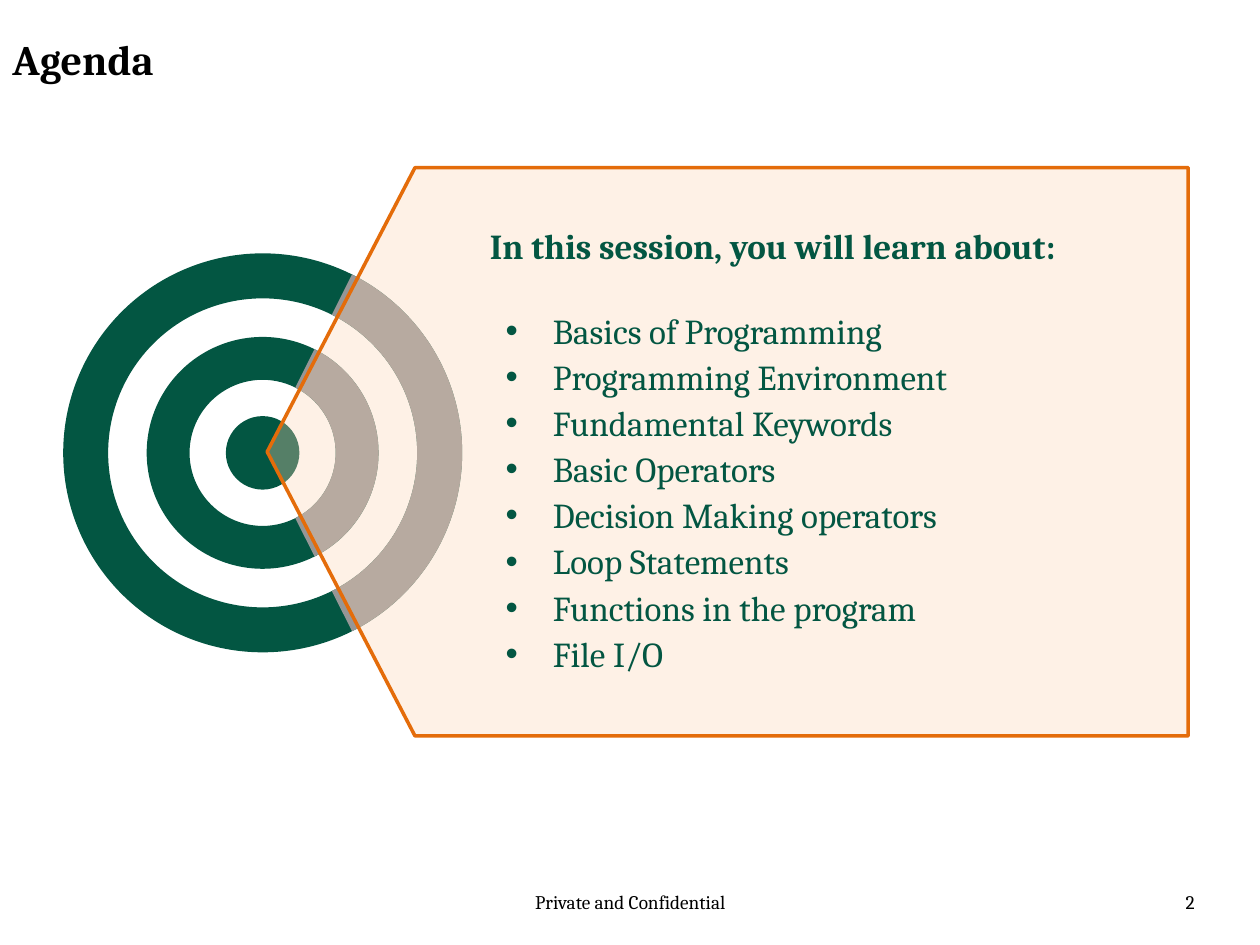
"""Build the agenda slide: a target behind a translucent panel listing the session topics."""
from dataclasses import dataclass

import lxml.etree
import pptx
import pptx.dml.color
import pptx.enum.shapes
import pptx.enum.text
import pptx.oxml.ns
import pptx.util

Pt = pptx.util.Pt
Shape = pptx.enum.shapes.MSO_SHAPE
Align = pptx.enum.text.PP_ALIGN
Anchor = pptx.enum.text.MSO_ANCHOR
qn = pptx.oxml.ns.qn

FONT = "Cambria"
GREEN, GREY, ORANGE, PEACH, BLACK = "035642", "969696", "E46C0A", "FCD5B5", "000000"
CENTER_X, CENTER_Y = 150.1, 258.8
HALF_SWEEP = 63.4
ANGLE_UNIT = 0.6
TOPICS = (
    "Basics of Programming",
    "Programming Environment",
    "Fundamental Keywords",
    "Basic Operators",
    "Decision Making operators",
    "Loop Statements",
    "Functions in the program",
    "File I/O",
)


@dataclass(frozen=True)
class Ring:
    diameter: float
    thickness: float


@dataclass(frozen=True)
class Label:
    text: str
    left: float
    top: float
    width: float
    height: float
    size: float
    align: Align
    bold: bool = False


RINGS = (Ring(132.5, 24.5), Ring(228, 25.7))
LABELS = (
    Label("Private and Confidential", 246.2, 505.4, 228.2, 28.8, 11, Align.CENTER),
    Label("2", 522, 505.4, 167.8, 28.8, 11, Align.RIGHT),
    Label("Agenda", 0, 15.8, 546.5, 44.6, 24, Align.LEFT, True),
)


def color(hex_code: str) -> pptx.dml.color.RGBColor:
    return pptx.dml.color.RGBColor.from_string(hex_code)


def add_run(paragraph, text: str, size: float, hex_code: str, bold: bool = False) -> None:
    run = paragraph.add_run()
    run.text = text
    run.font.name = FONT
    run.font.size = Pt(size)
    run.font.bold = bold
    run.font.color.rgb = color(hex_code)


def add_label(shapes, label: Label) -> None:
    box = shapes.add_textbox(Pt(label.left), Pt(label.top), Pt(label.width), Pt(label.height))
    box.text_frame.word_wrap = True
    paragraph = box.text_frame.paragraphs[0]
    paragraph.alignment = label.align
    add_run(paragraph, label.text, label.size, BLACK, label.bold)


def add_round(shapes, preset: Shape, diameter: float, hex_code: str, adjustments: tuple = ()) -> None:
    left, top = CENTER_X - diameter / 2, CENTER_Y - diameter / 2
    disc = shapes.add_shape(preset, Pt(left), Pt(top), Pt(diameter), Pt(diameter))
    disc.shadow.inherit = False
    disc.fill.solid()
    disc.fill.fore_color.rgb = color(hex_code)
    disc.line.fill.background()
    for index, value in enumerate(adjustments):
        disc.adjustments[index] = value


def add_target(shapes) -> None:
    target = shapes.add_group_shape().shapes
    add_round(target, Shape.OVAL, 42, GREEN)
    for ring in RINGS:
        add_round(target, Shape.DONUT, ring.diameter, GREEN, (ring.thickness / ring.diameter,))
    for ring in RINGS:
        sweep = ((360 - HALF_SWEEP) * ANGLE_UNIT, HALF_SWEEP * ANGLE_UNIT)
        add_round(target, Shape.BLOCK_ARC, ring.diameter, GREY, (*sweep, ring.thickness / ring.diameter))


def add_topic(frame, topic: str) -> None:
    paragraph = frame.add_paragraph()
    paragraph.alignment = Align.LEFT
    paragraph.line_spacing = 1.1
    properties = paragraph._p.get_or_add_pPr()
    properties.set("marL", str(Pt(36)))
    properties.set("indent", str(Pt(-27)))
    lxml.etree.SubElement(properties, qn("a:buFont")).set("typeface", "Arial")
    lxml.etree.SubElement(properties, qn("a:buChar")).set("char", "•")
    add_run(paragraph, topic, 20, GREEN)


def add_panel(shapes) -> None:
    panel = shapes.add_shape(Shape.PENTAGON, Pt(152.7), Pt(95.8), Pt(526.3), Pt(324.7))
    panel.shadow.inherit = False
    panel.adjustments[0] = 0.26
    panel._element.spPr.find(qn("a:xfrm")).set("flipH", "1")
    panel.fill.solid()
    panel.fill.fore_color.rgb = color(PEACH)
    tint = panel._element.spPr.find(qn("a:solidFill"))[0]
    lxml.etree.SubElement(tint, qn("a:alpha")).set("val", "33000")
    panel.line.color.rgb = color(ORANGE)
    panel.line.width = Pt(2)
    frame = panel.text_frame
    frame.word_wrap = True
    frame.vertical_anchor = Anchor.MIDDLE
    frame.margin_left, frame.margin_right = Pt(85), Pt(5.8)
    frame.margin_top = frame.margin_bottom = Pt(0)
    heading = frame.paragraphs[0]
    heading.alignment = Align.LEFT
    heading.line_spacing = 0.9
    heading.space_after = Pt(21.6)
    add_run(heading, "In this session, you will learn about:", 20, GREEN, True)
    for topic in TOPICS:
        add_topic(frame, topic)


def main() -> None:
    deck = pptx.Presentation()
    deck.slide_width, deck.slide_height = Pt(720), Pt(540)
    shapes = deck.slides.add_slide(deck.slide_layouts[6]).shapes
    for label in LABELS:
        add_label(shapes, label)
    add_target(shapes)
    add_panel(shapes)
    deck.save("out.pptx")


if __name__ == "__main__":
    main()
